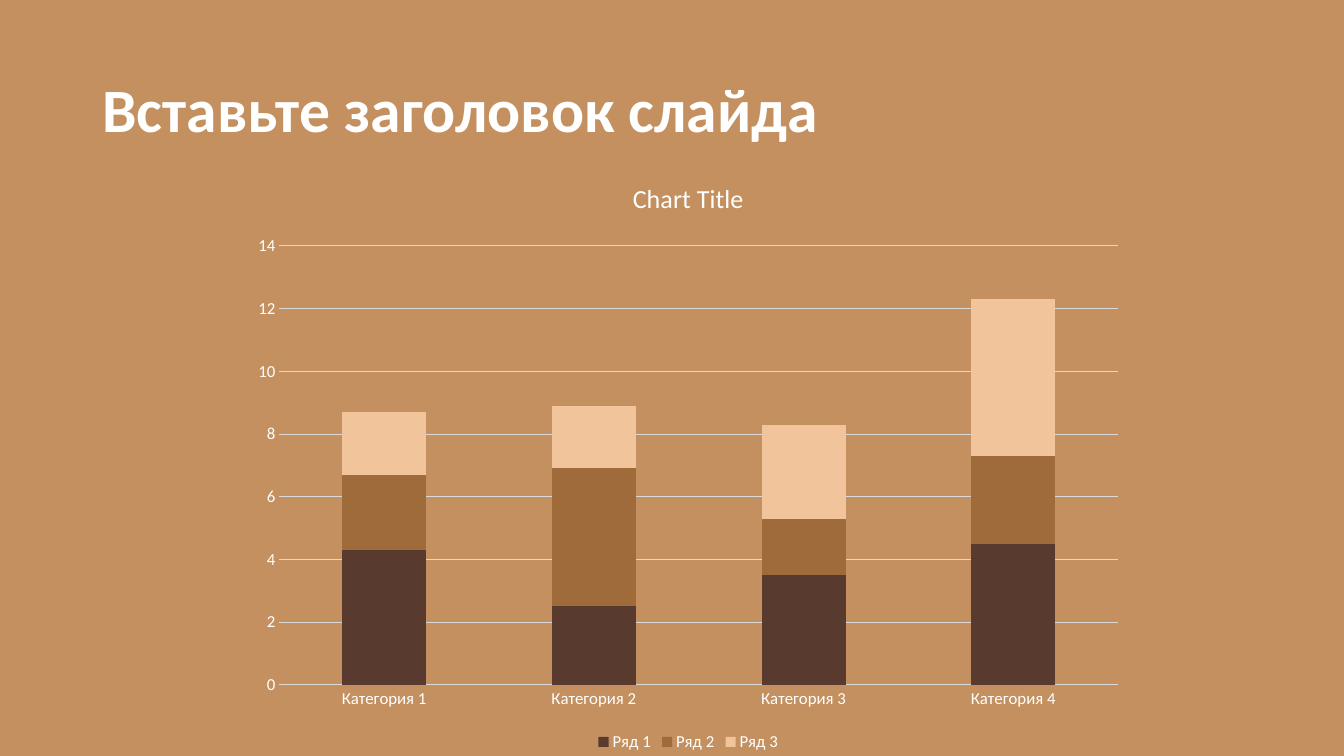
from pptx import Presentation
from pptx.chart.data import CategoryChartData
from pptx.dml.color import RGBColor
from pptx.enum.chart import XL_CHART_TYPE, XL_LEGEND_POSITION, XL_TICK_MARK
from pptx.enum.text import MSO_ANCHOR, MSO_AUTO_SIZE, PP_ALIGN
from pptx.util import Pt

STACK = XL_CHART_TYPE.COLUMN_STACKED
BOTTOM = XL_LEGEND_POSITION.BOTTOM
NO_TICK = XL_TICK_MARK.NONE
MIDDLE = MSO_ANCHOR.MIDDLE
NO_FIT = MSO_AUTO_SIZE.NONE
LEFT = PP_ALIGN.LEFT

PX = 9525
FACE = "Calibri"
HUES = {
    "back": "C49060",
    "text": "FFFFFF",
    "grid": "D9D9D9",
    "dark": "593A2E",
    "mid": "A06B3B",
    "pale": "F2C49B",
}
CATS = [f"Категория {n}" for n in range(1, 5)]
ROWS = [
    ("Ряд 1", (4.3, 2.5, 3.5, 4.5), "dark"),
    ("Ряд 2", (2.4, 4.4, 1.8, 2.8), "mid"),
    ("Ряд 3", (2, 2, 3, 5), "pale"),
]


def hue(name):
    return RGBColor.from_string(HUES[name])


def style(font, size, bold=False, color="text"):
    font.name = FACE
    font.size = Pt(size)
    font.bold = bold
    font.color.rgb = hue(color)


def write(frame, text, size, bold=False, color="text", align=None, space=None):
    para = frame.paragraphs[0]
    para.alignment = align
    para.line_spacing = space
    run = para.add_run()
    run.text = text
    style(run.font, size, bold, color)


class Deck:
    def __init__(self, wide, high):
        self.file = Presentation()
        self.file.slide_width = wide * PX
        self.file.slide_height = high * PX
        self.slide = None

    def page(self):
        self.slide = self.file.slides.add_slide(self.file.slide_layouts[5])
        fill = self.slide.background.fill
        fill.solid()
        fill.fore_color.rgb = hue("back")

    def title(self, text, x, y, w, h):
        shape = self.slide.shapes.title
        shape.left, shape.top = x * PX, y * PX
        shape.width, shape.height = w * PX, h * PX
        frame = shape.text_frame
        frame.word_wrap = True
        frame.auto_size = NO_FIT
        frame.vertical_anchor = MIDDLE
        write(frame, text, 44, bold=True, align=LEFT, space=0.9)

    def rule(self, line):
        line.color.rgb = hue("grid")
        line.width = Pt(0.75)

    def axis(self, axis):
        axis.major_tick_mark = axis.minor_tick_mark = NO_TICK
        style(axis.tick_labels.font, 12)

    def chart(self, head, cats, rows, x, y, w, h):
        data = CategoryChartData()
        data.categories = cats
        for name, vals, _ in rows:
            data.add_series(name, vals)
        chart = self.slide.shapes.add_chart(
            STACK, x * PX, y * PX, w * PX, h * PX, data
        ).chart
        style(chart.font, 10)
        chart.has_title = True
        write(chart.chart_title.text_frame, head, 18.6)
        chart.chart_title.include_in_layout = False

        plot = chart.plots[0]
        plot.gap_width = 150
        plot.overlap = 100
        plot.vary_by_categories = False
        for bar, (_, _, color) in zip(plot.series, rows):
            bar.format.fill.solid()
            bar.format.fill.fore_color.rgb = hue(color)
            bar.invert_if_negative = False

        self.axis(chart.category_axis)
        self.rule(chart.category_axis.format.line)
        scale = chart.value_axis
        self.axis(scale)
        scale.minimum_scale, scale.maximum_scale = 0, 14
        scale.major_unit = 2
        scale.format.line.fill.background()
        scale.has_major_gridlines = True
        self.rule(scale.major_gridlines.format.line)

        chart.has_legend = True
        chart.legend.position = BOTTOM
        chart.legend.include_in_layout = False
        style(chart.legend.font, 12)


def main():
    deck = Deck(1280, 720)
    deck.page()
    deck.title("Вставьте заголовок слайда", 88, 38, 1104, 139)
    deck.chart("Chart Title", CATS, ROWS, 229, 151, 853, 569)
    deck.file.save("out.pptx")


if __name__ == "__main__":
    main()
